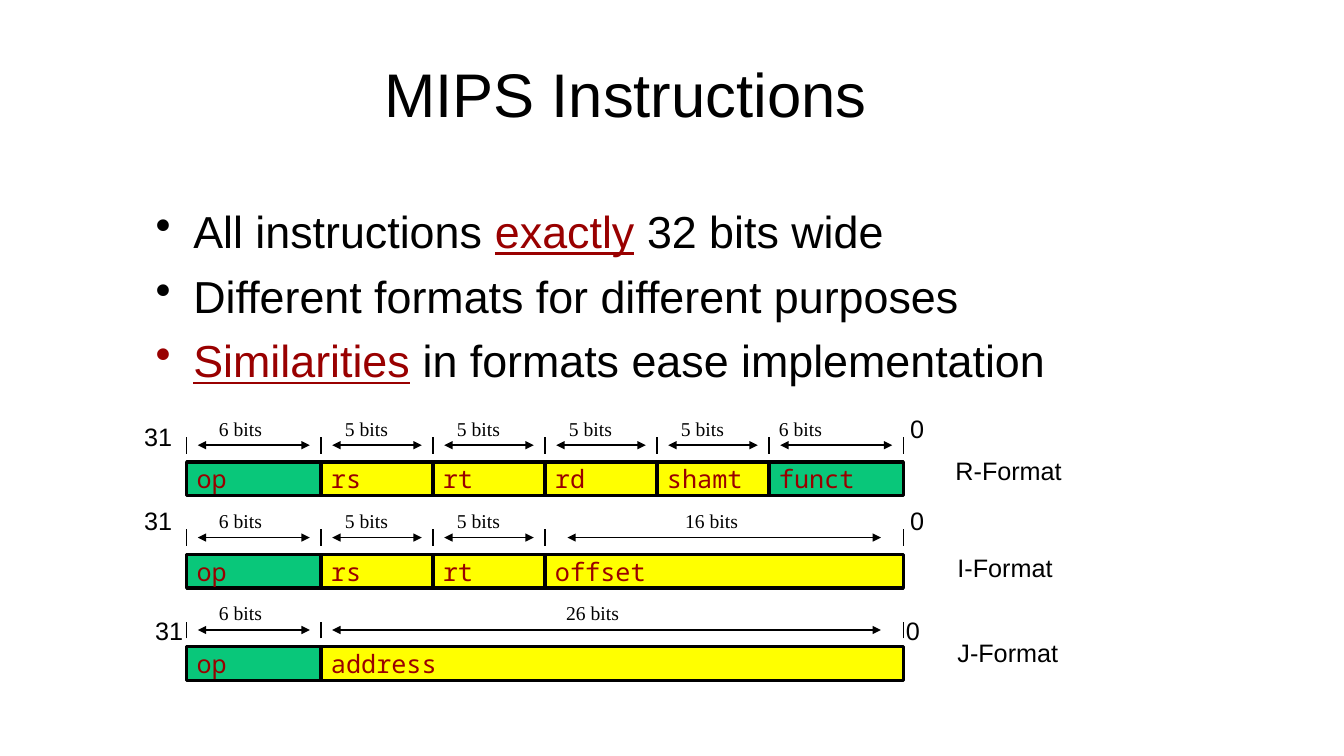
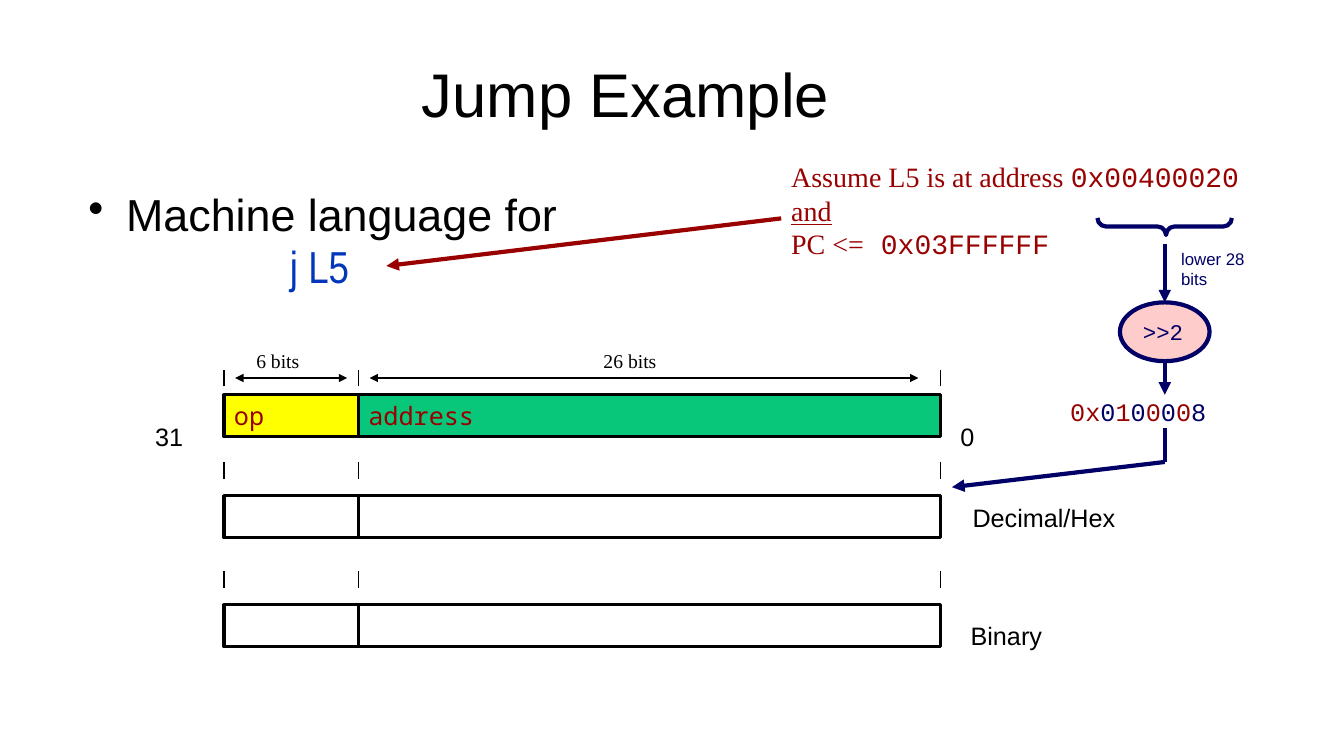
"""Build two slides on MIPS instruction formats and the jump instruction."""
from dataclasses import dataclass
from itertools import accumulate, cycle

from lxml.etree import SubElement
from pptx import Presentation
from pptx.dml.color import RGBColor
from pptx.enum.shapes import MSO_CONNECTOR, MSO_SHAPE
from pptx.enum.text import MSO_ANCHOR, MSO_AUTO_SIZE, PP_ALIGN
from pptx.oxml.ns import qn
from pptx.util import Pt


@dataclass(frozen=True)
class Theme:
    black: str = "000000"
    white: str = "FFFFFF"
    red: str = "990000"
    navy: str = "000066"
    blue: str = "0237BC"
    green: str = "09C77A"
    yellow: str = "FFFF00"
    pink: str = "FFCCCC"
    sans: str = "Arial"
    narrow: str = "Arial Narrow"
    serif: str = "Times New Roman"
    mono: str = "Noto Sans Mono"
    code: str = "Courier New"
    title_size: float = 44
    body_size: float = 32
    callout_size: float = 20
    label_size: float = 18
    shift_size: float = 16
    bits_size: float = 14
    note_size: float = 12
    thin: float = 1
    border: float = 2.25
    thick: float = 3


THEME = Theme()
POINTS_PER_BIT = 16
BITS_LABEL = {5: (10, 45.4), 6: (16, 45.4), 16: (93, 52.6), 26: (168, 52.6)}
ARROW_INSETS = {5: (8, 8), 6: (8, 8), 16: (16, 16), 26: (8, 16)}


def run(text, color=THEME.black, font=THEME.sans, size=THEME.label_size, underline=False):
    return text, color, font, size, underline


def body_run(text, color=THEME.black, font=THEME.sans, underline=False):
    return run(text, color, font, THEME.body_size, underline)


def callout_run(text, font=THEME.serif, underline=False):
    return run(text, THEME.red, font, THEME.callout_size, underline)


FORMAT_BULLETS = [
    [body_run("All instructions "), body_run("exactly", THEME.red, underline=True),
     body_run(" 32 bits wide")],
    [body_run("Different formats for different purposes")],
    [body_run("Similarities", THEME.red, underline=True),
     body_run(" in formats ease implementation")],
]
OP = ("op", 6, THEME.green)
RS = ("rs", 5, THEME.yellow)
RT = ("rt", 5, THEME.yellow)
FORMATS = [
    ([OP, RS, RT, ("rd", 5, THEME.yellow), ("shamt", 5, THEME.yellow),
      ("funct", 6, THEME.green)],
     [("31", 95.8, 297.4, 34.6), ("0", 643, 291.6, 24.5), ("R-Format", 675.4, 321.8, 91.4)]),
    ([OP, RS, RT, ("offset", 16, THEME.yellow)],
     [("31", 95.8, 357.1, 34.6), ("0", 643, 357.1, 24.5), ("I-Format", 676.8, 391, 82.8)]),
    ([OP, ("address", 26, THEME.yellow)],
     [("31", 103.7, 435.6, 34.6), ("0", 640, 435.6, 24.5), ("J-Format", 676.8, 451.4, 87.1)]),
]
JUMP_WORDS = [
    (282, 6, [("op", 6, THEME.yellow), ("address", 26, THEME.green)]),
    (354, 12, [("", 6, THEME.white), ("", 26, THEME.white)]),
    (432, 12, [("", 6, THEME.white), ("", 26, THEME.white)]),
]
JUMP_LABELS = [
    ("31", 103.7, 297.4, 34.6), ("0", 679, 297.4, 24.5),
    ("Decimal/Hex", 687.6, 355, 117.4), ("Binary", 686.2, 439.2, 66.2),
]
ADDRESS_CALLOUT = [
    [callout_run("Assume L5 is at address "), callout_run("0x00400020", THEME.code)],
    [callout_run("and", underline=True)],
    [callout_run("PC <="), callout_run(" 0x03FFFFFF", THEME.code)],
]
SHIFTED_DIGITS = ["0x", "0", "1", "0", "0", "0", "0", "8"]


def write(frame, paragraphs, wrap=False, anchor=MSO_ANCHOR.TOP, align=PP_ALIGN.LEFT):
    frame.word_wrap = wrap
    frame.vertical_anchor = anchor
    for index, runs in enumerate(paragraphs):
        paragraph = frame.add_paragraph() if index else frame.paragraphs[0]
        paragraph.alignment = align
        for text, color, font, size, underline in runs:
            piece = paragraph.add_run()
            piece.text = text
            piece.font.name = font
            piece.font.size = Pt(size)
            piece.font.color.rgb = RGBColor.from_string(color)
            if underline:
                piece.font.underline = True


def add_text(slide, box, paragraphs, grow=True, **options):
    frame = slide.shapes.add_textbox(*map(Pt, box)).text_frame
    write(frame, paragraphs, **options)
    frame.auto_size = MSO_AUTO_SIZE.SHAPE_TO_FIT_TEXT if grow else MSO_AUTO_SIZE.NONE
    return frame


def add_labels(slide, labels):
    for text, left, top, width in labels:
        add_text(slide, (left, top, width, 29), [[run(text)]])


def add_bullets(slide, box, paragraphs):
    frame = add_text(slide, box, paragraphs, grow=False, wrap=True)
    for index, paragraph in enumerate(frame.paragraphs):
        properties = paragraph._p.get_or_add_pPr()
        properties.set("marL", str(Pt(27)))
        properties.set("indent", str(Pt(-27)))
        SubElement(properties, qn("a:buChar")).set("char", "•")
        if index:
            paragraph.space_before = Pt(7.8)
    return frame


def add_outline(slide, kind, box, color, width, fill=None):
    shape = slide.shapes.add_shape(kind, *map(Pt, box))
    shape.shadow.inherit = False
    shape.line.color.rgb = RGBColor.from_string(color)
    shape.line.width = Pt(width)
    if fill:
        shape.fill.solid()
        shape.fill.fore_color.rgb = RGBColor.from_string(fill)
    else:
        shape.fill.background()
    return shape


def add_line(slide, start, end, color=THEME.black, width=THEME.thin, heads=()):
    line = slide.shapes.add_connector(MSO_CONNECTOR.STRAIGHT, *map(Pt, (*start, *end)))
    line.line.color.rgb = RGBColor.from_string(color)
    line.line.width = Pt(width)
    properties = line._element.spPr
    for head in heads:
        SubElement(line.line._get_or_add_ln(), qn(f"a:{head}")).set("type", "triangle")
    SubElement(properties, qn("a:effectLst"))
    return line


def add_word(slide, left, top, height, fields, tick_gap=6):
    edges = [left + POINTS_PER_BIT * bits
             for bits in accumulate((field[1] for field in fields), initial=0)]
    for edge in edges:
        add_line(slide, (edge, top - tick_gap), (edge, top - tick_gap - 12))
    for (name, bits, fill), start, end in zip(fields, edges, edges[1:]):
        box = (start, top, end - start, height)
        field = add_outline(slide, MSO_SHAPE.RECTANGLE, box, THEME.black, THEME.border, fill)
        if not name:
            continue
        write(field.text_frame, [[run(name, THEME.red, THEME.mono)]], anchor=MSO_ANCHOR.MIDDLE)
        before, after = ARROW_INSETS[bits]
        add_line(slide, (start + before, top - 12), (end - after, top - 12),
                 heads=("headEnd", "tailEnd"))
        offset, width = BITS_LABEL[bits]
        label_left = start if name == "funct" else start + offset
        add_text(slide, (label_left, top - 36, width, 24.2),
                 [[run(f"{bits} bits", font=THEME.serif, size=THEME.bits_size)]])


def add_slide(presentation, title):
    slide = presentation.slides.add_slide(presentation.slide_layouts[6])
    add_text(slide, (48, 21.6, 798, 90), [[run(title, size=THEME.title_size)]], grow=False,
             wrap=True, anchor=MSO_ANCHOR.MIDDLE, align=PP_ALIGN.CENTER)
    return slide


def build_formats(presentation):
    slide = add_slide(presentation, "MIPS Instructions")
    add_bullets(slide, (104, 142, 752, 140), FORMAT_BULLETS)
    for index, (fields, labels) in enumerate(FORMATS):
        add_word(slide, 133.3, 330 + 66 * index, 24, fields)
        add_labels(slide, labels)


def build_jump(presentation):
    slide = add_slide(presentation, "Jump Example")
    add_bullets(slide, (56, 130, 480, 50), [[body_run("Machine language for")]])
    add_text(slide, (200, 167, 80, 44), [[body_run("j L5", THEME.blue, THEME.narrow)]],
             grow=False, wrap=True)
    add_line(slide, (558, 156), (276, 190), THEME.red, THEME.thick, ("tailEnd",))
    add_text(slide, (558, 110, 348, 80), ADDRESS_CALLOUT, wrap=True, anchor=MSO_ANCHOR.MIDDLE)

    for top, tick_gap, fields in JUMP_WORDS:
        add_word(slide, 160, top, 30, fields, tick_gap)
    add_labels(slide, JUMP_LABELS)

    brace = add_outline(slide, MSO_SHAPE.RIGHT_BRACE, (825.8, 113.8, 12.2, 96),
                        THEME.navy, THEME.thick)
    brace.rotation = 90
    brace.adjustments[0] = 0.5
    brace.adjustments[1] = 0.49
    shift = add_outline(slide, MSO_SHAPE.OVAL, (800, 216, 64, 42),
                        THEME.navy, THEME.thick, THEME.pink)
    write(shift.text_frame, [[run(">>2", THEME.navy, THEME.code, THEME.shift_size)]],
          anchor=MSO_ANCHOR.MIDDLE)
    flow = [((832, 174), (832, 216), ("tailEnd",)), ((832, 258), (832, 282), ("tailEnd",)),
            ((832, 306), (832, 330), ()), ((832, 330), (680, 348), ("tailEnd",))]
    for start, end, heads in flow:
        add_line(slide, start, end, THEME.navy, THEME.thick, heads)
    add_text(slide, (836.6, 173.5, 60.5, 36.7),
             [[run(text, THEME.navy, size=THEME.note_size)] for text in ("lower 28", "bits")],
             anchor=MSO_ANCHOR.MIDDLE)
    digits = [run(digit, color, THEME.code)
              for digit, color in zip(SHIFTED_DIGITS, cycle((THEME.red, THEME.navy)))]
    add_text(slide, (757.4, 279.4, 112.3, 29), [digits], anchor=MSO_ANCHOR.MIDDLE)


def main():
    presentation = Presentation()
    presentation.slide_width, presentation.slide_height = Pt(960), Pt(540)
    build_formats(presentation)
    build_jump(presentation)
    presentation.save("out.pptx")


if __name__ == "__main__":
    main()
